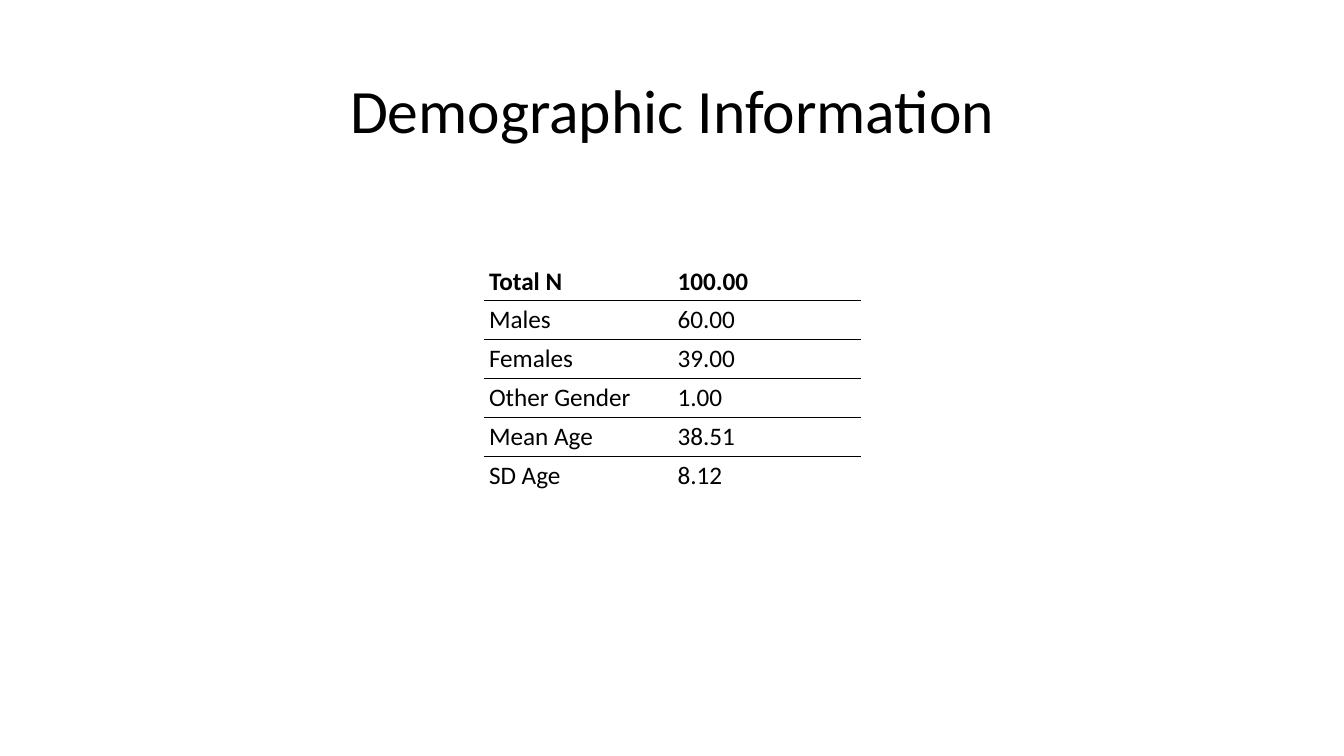
import pptx
import pptx.util
import pptx.dml.color
import pptx.enum.text
import pptx.oxml
import pptx.oxml.ns
from pptx.util import Inches

BLACK = pptx.dml.color.RGBColor(0, 0, 0)
NO_STYLE = "{2D5ABB26-0587-4C30-8999-92F81FD0307C}"
RULE_XML = (
    f'<a:lnB {pptx.oxml.ns.nsdecls("a")} w="12700">'
    f'<a:solidFill><a:srgbClr val="{BLACK}"/></a:solidFill></a:lnB>'
)


def write_text(text_frame, text, size=18, bold=False,
               alignment=pptx.enum.text.PP_ALIGN.LEFT, line_spacing=1.0):
    paragraph = text_frame.paragraphs[0]
    paragraph.alignment = alignment
    paragraph.line_spacing = line_spacing
    run = paragraph.add_run()
    run.text = text
    run.font.name = "Calibri"
    run.font.size = pptx.util.Pt(size)
    run.font.bold = bold
    run.font.color.rgb = BLACK


presentation = pptx.Presentation()
presentation.slide_width = Inches(13.33)
presentation.slide_height = Inches(7.5)
slide = presentation.slides.add_slide(presentation.slide_layouts[5])

# Title
title = slide.shapes.title
title.left, title.top = Inches(0.92), Inches(0.4)
title.width, title.height = Inches(11.5), Inches(1.45)
title.text_frame.auto_size = pptx.enum.text.MSO_AUTO_SIZE.NONE
title.text_frame.vertical_anchor = pptx.enum.text.MSO_ANCHOR.MIDDLE
write_text(title.text_frame, "Demographic Information", size=44,
           alignment=pptx.enum.text.PP_ALIGN.CENTER, line_spacing=0.9)

# Demographics table
demographics = [
    ("Total N", "100.00"),
    ("Males", "60.00"),
    ("Females", "39.00"),
    ("Other Gender", "1.00"),
    ("Mean Age", "38.51"),
    ("SD Age", "8.12"),
]
table = slide.shapes.add_table(len(demographics), 2, Inches(4.8), Inches(2.6),
                               Inches(3.74), Inches(2.3)).table
table.horz_banding = False
table._tbl.tblPr.find(pptx.oxml.ns.qn("a:tableStyleId")).text = NO_STYLE

for row_index, row_values in enumerate(demographics):
    for column_index, value in enumerate(row_values):
        cell = table.cell(row_index, column_index)
        cell.fill.background()
        cell.vertical_anchor = pptx.enum.text.MSO_ANCHOR.MIDDLE
        cell.margin_left = cell.margin_right = Inches(0.05)
        cell.margin_top = cell.margin_bottom = Inches(0.04)
        write_text(cell.text_frame, value, bold=row_index == 0)
        # Rule between rows
        if row_index < len(demographics) - 1:
            cell._tc.get_or_add_tcPr().insert(0, pptx.oxml.parse_xml(RULE_XML))

presentation.save("out.pptx")
